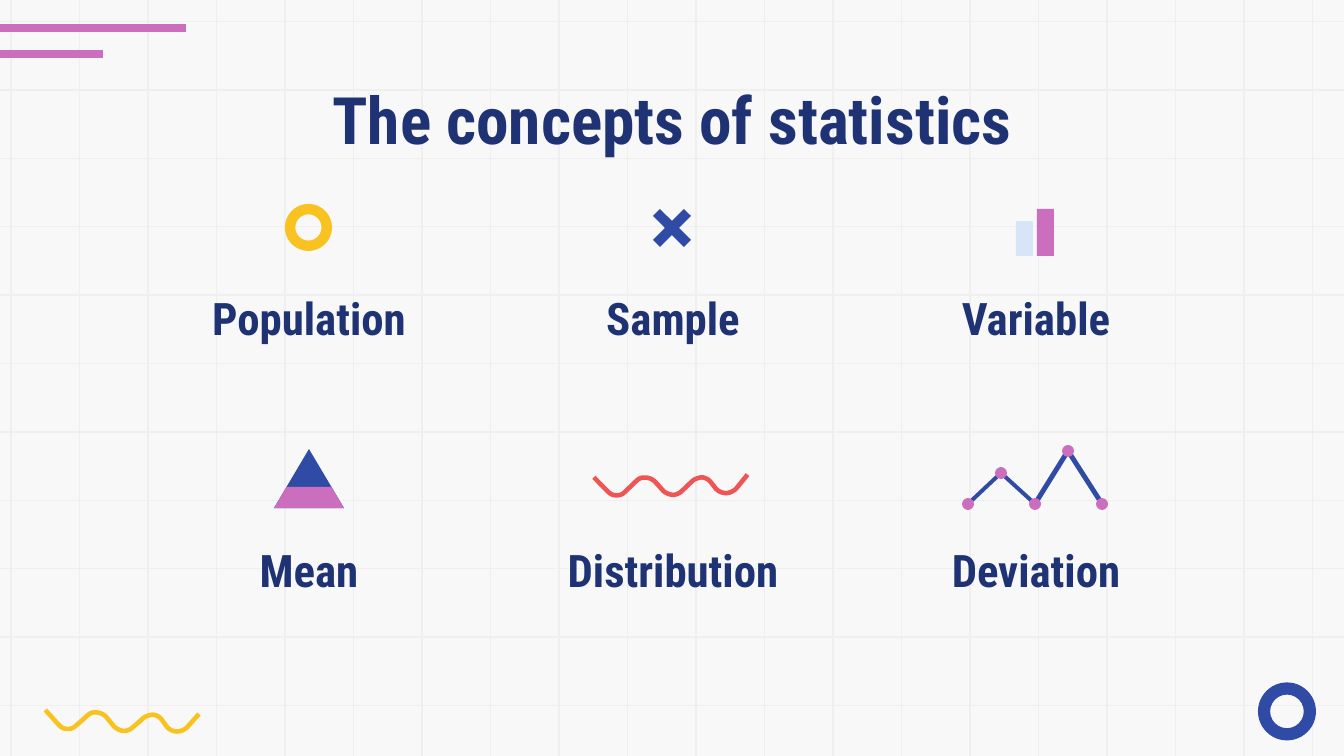
import math

from lxml import etree
from pptx import Presentation
from pptx.dml.color import RGBColor
from pptx.enum.shapes import MSO_CONNECTOR, MSO_SHAPE
from pptx.enum.text import MSO_ANCHOR, MSO_AUTO_SIZE, PP_ALIGN
from pptx.oxml.ns import qn
from pptx.util import Pt

RECTANGLE = MSO_SHAPE.RECTANGLE
OVAL = MSO_SHAPE.OVAL
DONUT = MSO_SHAPE.DONUT
TRIANGLE = MSO_SHAPE.ISOSCELES_TRIANGLE
TRAPEZOID = MSO_SHAPE.TRAPEZOID
STRAIGHT = MSO_CONNECTOR.STRAIGHT
CENTER = PP_ALIGN.CENTER
TOP, BOTTOM = MSO_ANCHOR.TOP, MSO_ANCHOR.BOTTOM
NO_AUTO_SIZE = MSO_AUTO_SIZE.NONE

WIDTH, HEIGHT = 1344, 756
EMU_PER_PX = 9144000 / WIDTH
TITLE_ONLY = 5
FONT = "Roboto Condensed"
COLORS = {
    "background": "F8F8F8",
    "grid": "EFEFEF",
    "navy": "1F3374",
    "blue": "304BA6",
    "yellow": "F8C220",
    "pink": "CB6EBE",
    "pale": "D8E4F7",
    "red": "F05555",
}

# Centre line of a wave: straight steps have one point, cubic curves three.
WAVE_START = (1.3, 2)
WAVE_STEPS = [
    [(14, 16)],
    [(17, 19.5), (19.5, 21), (24, 21)],
    [(27, 21), (29.5, 20), (31.6, 18)],
    [(43.7, 7.4)],
    [(46, 5), (49, 4), (53, 4.5)],
    [(57, 5), (59, 6), (62, 8.7)],
    [(70.5, 19)],
    [(73, 21), (76, 22.5), (79.5, 23)],
    [(82.5, 23), (86, 22), (88.7, 19.5)],
    [(99.5, 10)],
    [(102, 8), (105.5, 7), (109, 6.7)],
    [(112, 7), (115.5, 8.5), (118, 12)],
    [(123, 19)],
    [(126, 22), (129.5, 23.5), (133, 23.5)],
    [(136.5, 23.5), (140, 22), (143, 19.5)],
    [(155, 6)],
]
WAVE_THICKNESS = 4.6
CURVE_PARTS = 6

CONCEPTS = [
    ["Population", "Sample", "Variable"],
    ["Mean", "Distribution", "Deviation"],
]
COLUMN_LEFTS = (163, 527, 890)
ROW_TOPS = (280, 532)
DEVIATION_POINTS = [(968, 504), (1001, 473), (1035, 504), (1068, 451), (1102, 504)]


def emu(px):
    return round(px * EMU_PER_PX)


def color(name):
    return RGBColor.from_string(COLORS[name])


def bezier(points, t):
    weights = ((1 - t) ** 3, 3 * t * (1 - t) ** 2, 3 * t * t * (1 - t), t ** 3)
    return tuple(sum(w * point[axis] for w, point in zip(weights, points)) for axis in (0, 1))


def wave_outline():
    """Offset the centre line to both sides and return the closed band."""
    line = [WAVE_START]
    for step in WAVE_STEPS:
        if len(step) == 1:
            line.append(step[0])
        else:
            curve = [line[-1], *step]
            line += [bezier(curve, part / CURVE_PARTS) for part in range(1, CURVE_PARTS + 1)]
    upper, lower = [], []
    for index, (x, y) in enumerate(line):
        before, after = line[max(index - 1, 0)], line[min(index + 1, len(line) - 1)]
        dx, dy = after[0] - before[0], after[1] - before[1]
        reach = WAVE_THICKNESS / 2 / math.hypot(dx, dy)
        upper.append((x + dy * reach, y - dx * reach))
        lower.append((x - dy * reach, y + dx * reach))
    return upper + lower[::-1]


class SlidePainter:
    """Holds the slide being built and the look shared by its elements."""

    def __init__(self, slide):
        self.slide = slide
        self.shapes = slide.shapes
        slide.background.fill.solid()
        slide.background.fill.fore_color.rgb = color("background")

    def paint(self, shape, fill):
        shape.shadow.inherit = False
        shape.fill.solid()
        shape.fill.fore_color.rgb = color(fill)
        shape.line.fill.background()
        return shape

    def shape(self, kind, left, top, width, height, fill, adjust=None, rotation=0):
        shape = self.shapes.add_shape(kind, emu(left), emu(top), emu(width), emu(height))
        if adjust is not None:
            shape.adjustments[0] = adjust
        shape.rotation = rotation
        return self.paint(shape, fill)

    def polygon(self, points, left, top, fill):
        corners = [(emu(left + x), emu(top + y)) for x, y in points]
        builder = self.shapes.build_freeform(*corners[0], scale=1)
        builder.add_line_segments(corners[1:], close=True)
        return self.paint(builder.convert_to_shape(), fill)

    def grid_line(self, x1, y1, x2, y2):
        line = self.shapes.add_connector(STRAIGHT, emu(x1), emu(y1), emu(x2), emu(y2))
        line.line.color.rgb = color("grid")
        line.line.width = Pt(0.75)
        etree.SubElement(line._element.spPr, qn("a:effectLst"))

    def bar_between(self, start, end, thickness, fill):
        dx, dy = end[0] - start[0], end[1] - start[1]
        length = math.hypot(dx, dy) + 4
        left = (start[0] + end[0] - length) / 2
        top = (start[1] + end[1] - thickness) / 2
        angle = math.degrees(math.atan2(dy, dx))
        self.shape(RECTANGLE, left, top, length, thickness, fill, rotation=angle)

    def set_text(self, box, text, size, anchor, spacing=1.0):
        frame = box.text_frame
        frame.text = text
        frame.word_wrap = True
        frame.auto_size = NO_AUTO_SIZE
        frame.vertical_anchor = anchor
        frame.margin_left = frame.margin_right = emu(13)
        frame.margin_top = frame.margin_bottom = emu(13)
        para = frame.paragraphs[0]
        para.alignment = CENTER
        para.line_spacing = spacing
        font = para.runs[0].font
        font.name, font.size, font.bold = FONT, Pt(size), True
        font.color.rgb = color("navy")

    def title(self, text, left, top, width, height):
        title = self.shapes.title
        title.left, title.top = emu(left), emu(top)
        title.width, title.height = emu(width), emu(height)
        self.set_text(title, text, 35, TOP)
        title._element.getparent().append(title._element)  # in front of the grid

    def label(self, text, left, top):
        box = self.shapes.add_textbox(emu(left), emu(top), emu(292), emu(77))
        self.set_text(box, text, 24, BOTTOM, 1.15)


def main():
    deck = Presentation()
    deck.slide_width, deck.slide_height = emu(WIDTH), emu(HEIGHT)
    painter = SlidePainter(deck.slides.add_slide(deck.slide_layouts[TITLE_ONLY]))
    wave = wave_outline()

    for row in range(11):
        y = 21.5 + 68.4 * row
        painter.grid_line(WIDTH, y, 0, y)
    for column in range(20):
        x = 11 + 68.5 * column
        painter.grid_line(x, -24, x, 780)

    painter.shape(DONUT, 1258, 682.5, 58, 58, "blue", 0.21)
    painter.polygon(wave, 44, 708, "yellow")
    painter.shape(RECTANGLE, 0, 24, 186, 8, "pink")
    painter.shape(RECTANGLE, 0, 50, 103, 8, "pink")

    painter.title("The concepts of statistics", 106, 66, 1133, 85)
    for top, names in zip(ROW_TOPS, CONCEPTS):
        for left, name in zip(COLUMN_LEFTS, names):
            painter.label(name, left, top)

    # Population, sample and variable icons
    painter.shape(DONUT, 285, 204, 47, 47, "yellow", 0.22)
    stroke = [(7, 0), (0, 7), (31, 38), (38, 31)]
    for points in (stroke, [(38 - x, y) for x, y in stroke]):
        painter.polygon(points, 653, 209, "blue")
    painter.shape(RECTANGLE, 1016, 221, 17, 35, "pale")
    painter.shape(RECTANGLE, 1037, 209, 17, 47, "pink")

    # Mean, distribution and deviation icons
    painter.shape(TRIANGLE, 274, 449, 70, 59, "blue")
    painter.shape(TRAPEZOID, 274, 487, 70, 21, "pink", 0.6)
    painter.polygon(wave, 593, 472, "red").rotation = -2.5
    pairs = zip(DEVIATION_POINTS, DEVIATION_POINTS[1:])
    for (start, end), thickness in zip(pairs, (4, 4, 5, 5)):
        painter.bar_between(start, end, thickness, "blue")
    for x, y in DEVIATION_POINTS:
        painter.shape(OVAL, x - 6, y - 6, 12, 12, "pink")

    deck.save("out.pptx")


if __name__ == "__main__":
    main()
